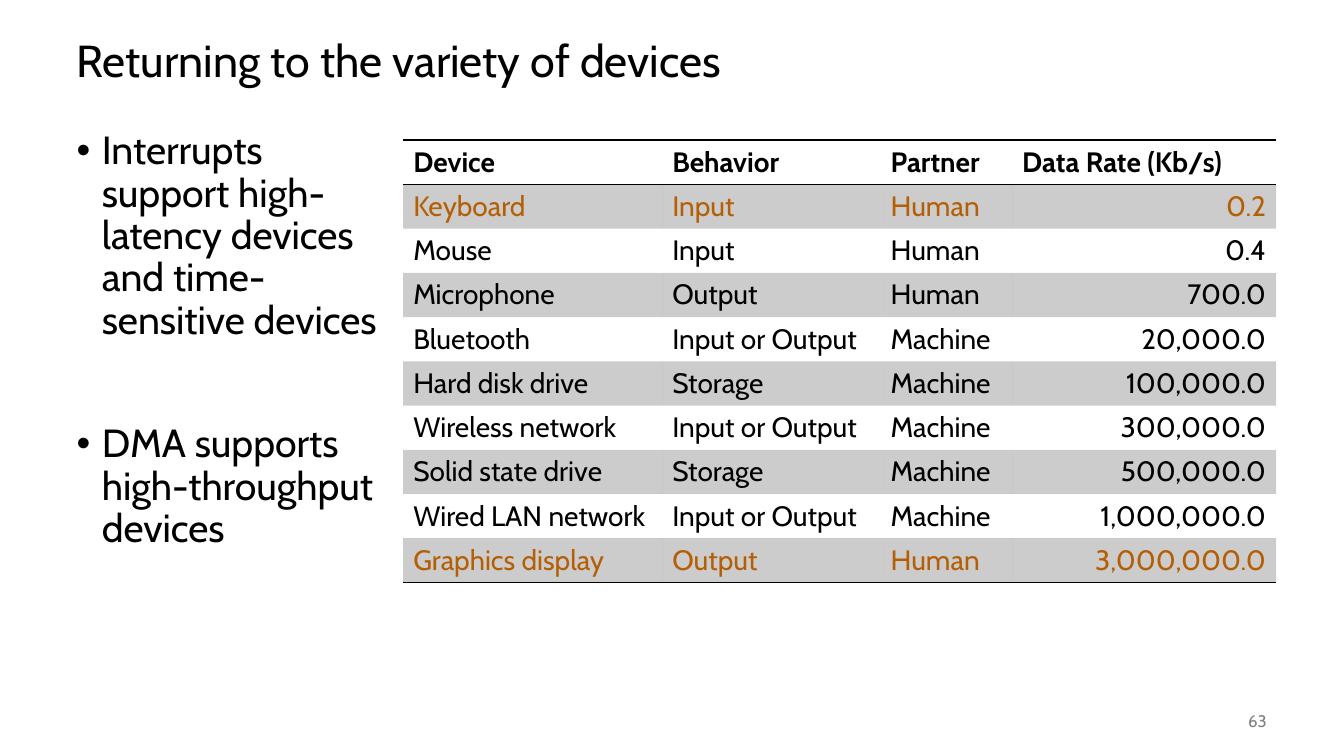
from lxml import etree
from pptx import Presentation
from pptx.dml.color import RGBColor
from pptx.enum.text import MSO_ANCHOR as Anchor, MSO_AUTO_SIZE as AutoSize, PP_ALIGN as Align
from pptx.oxml.ns import qn
from pptx.util import Pt

FONT = "Cabin"
BLACK = RGBColor(0x00, 0x00, 0x00)
GRAY = RGBColor(0x80, 0x80, 0x80)
ORANGE = RGBColor(0xB4, 0x5F, 0x06)
BAND_OPACITY = 20
NO_GRID_STYLE = "{2D5ABB26-0587-4C30-8999-92F81FD0307C}"

TITLE = "Returning to the variety of devices"
POINTS = [
    "Interrupts support high-latency devices and time-sensitive devices",
    "DMA supports high-throughput devices",
]
HEADINGS = ("Device", "Behavior", "Partner", "Data Rate (Kb/s)")
DEVICES = [
    ("Keyboard", "Input", "Human", "0.2"),
    ("Mouse", "Input", "Human", "0.4"),
    ("Microphone", "Output", "Human", "700.0"),
    ("Bluetooth", "Input or Output", "Machine", "20,000.0"),
    ("Hard disk drive", "Storage", "Machine", "100,000.0"),
    ("Wireless network", "Input or Output", "Machine", "300,000.0"),
    ("Solid state drive", "Storage", "Machine", "500,000.0"),
    ("Wired LAN network", "Input or Output", "Machine", "1,000,000.0"),
    ("Graphics display", "Output", "Human", "3,000,000.0"),
]
HIGHLIGHTED = {"Keyboard", "Graphics display"}
COLUMN_WIDTHS = (185, 156, 94, 188.5)


def write(paragraph, text, size=20, color=BLACK, bold=False, align=Align.LEFT, line_spacing=None):
    paragraph.alignment = align
    if line_spacing:
        paragraph.line_spacing = line_spacing
    run = paragraph.add_run()
    run.text = text
    run.font.name = FONT
    run.font.size = Pt(size)
    run.font.bold = bold
    run.font.color.rgb = color


def place(shape, left, top, width, height, anchor):
    """Move a text shape into its box and return its text frame."""
    shape.left, shape.top, shape.width, shape.height = Pt(left), Pt(top), Pt(width), Pt(height)
    frame = shape.text_frame
    frame.word_wrap = True
    frame.auto_size = AutoSize.NONE
    frame.vertical_anchor = anchor
    return frame


def add_title(slide, *box):
    frame = place(slide.shapes.title, *box, Anchor.MIDDLE)
    write(frame.paragraphs[0], TITLE, size=32, line_spacing=0.9)


def add_bullets(slide, *box):
    frame = place(slide.placeholders[1], *box, Anchor.TOP)
    for index, point in enumerate(POINTS):
        paragraph = frame.add_paragraph() if index else frame.paragraphs[0]
        properties = paragraph._p.get_or_add_pPr()
        properties.set("marL", str(Pt(18)))
        properties.set("indent", str(-Pt(18)))
        etree.SubElement(properties, qn("a:buChar"), char="•")
        paragraph.space_before = Pt(58 if index else 0)
        write(paragraph, point, size=28, line_spacing=0.9)


def add_page_number(slide, *box):
    number = slide.shapes.add_textbox(0, 0, 0, 0)
    frame = place(number, *box, Anchor.MIDDLE)
    write(frame.paragraphs[0], "63", size=12, color=GRAY, align=Align.RIGHT)


def shade(cell):
    cell.fill.solid()
    cell.fill.fore_color.rgb = BLACK
    color = cell._tc.tcPr.find(f".//{qn('a:srgbClr')}")
    etree.SubElement(color, qn("a:alpha"), val=str(BAND_OPACITY * 1000))


def rule(cell, *sides):
    """Draw 1 pt lines on the given sides, named in schema order: T, B."""
    properties = cell._tc.get_or_add_tcPr()
    for position, side in enumerate(sides):
        line = etree.Element(qn(f"a:ln{side}"), w=str(Pt(1)))
        fill = etree.SubElement(line, qn("a:solidFill"))
        etree.SubElement(fill, qn("a:srgbClr"), val=str(BLACK))
        properties.insert(position, line)


def add_device_table(slide, left, top, width, height):
    rows = [HEADINGS, *DEVICES]
    frame = slide.shapes.add_table(
        len(rows), len(HEADINGS), Pt(left), Pt(top), Pt(width), Pt(height))
    table = frame.table
    table.first_row = table.horz_banding = False
    table._tbl.tblPr.find(qn("a:tableStyleId")).text = NO_GRID_STYLE
    for column, share in zip(table.columns, COLUMN_WIDTHS):
        column.width = Pt(width * share / sum(COLUMN_WIDTHS))

    for r, values in enumerate(rows):
        color = ORANGE if values[0] in HIGHLIGHTED else BLACK
        for c, value in enumerate(values):
            cell = table.cell(r, c)
            is_rate = r > 0 and c == len(HEADINGS) - 1
            write(cell.text_frame.paragraphs[0], value, color=color, bold=r == 0,
                  align=Align.RIGHT if is_rate else Align.LEFT)
            if r % 2:
                shade(cell)
            else:
                cell.fill.background()
            if r == 0:
                rule(cell, "T", "B")
            elif r == len(rows) - 1:
                rule(cell, "B")


def main():
    deck = Presentation()
    deck.slide_width, deck.slide_height = Pt(960), Pt(540)
    slide = deck.slides.add_slide(deck.slide_layouts[1])
    add_title(slide, 47.5, 18, 864, 54)
    add_bullets(slide, 47.5, 90, 240.5, 396)
    add_page_number(slide, 840, 500.5, 72, 28.8)
    add_device_table(slide, 288, 100, 623.5, 312)
    deck.save("out.pptx")


if __name__ == "__main__":
    main()
